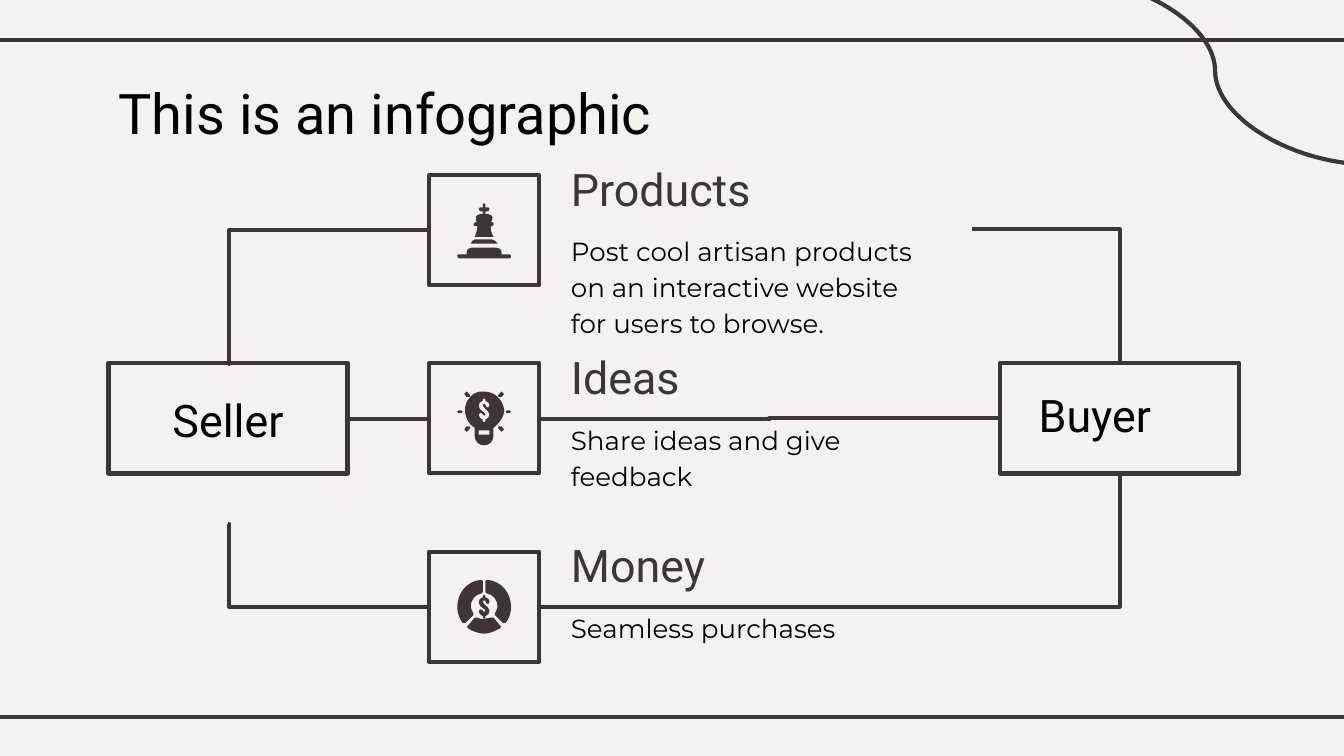
"""Build a slide that shows how products, ideas and money link a seller and a buyer."""
from lxml.etree import SubElement
from pptx import Presentation
from pptx.dml.color import RGBColor
from pptx.enum.shapes import MSO_CONNECTOR as LINK, MSO_SHAPE as SHAPE
from pptx.enum.text import MSO_ANCHOR as ANCHOR, MSO_AUTO_SIZE as AUTO, PP_ALIGN as ALIGN
from pptx.oxml.ns import qn
from pptx.util import Cm, Pt

COLORS = {"paper": "F5F2EE", "ink": "3F3533", "text": "000000"}
RGB = {name: RGBColor.from_string(value) for name, value in COLORS.items()}
GRID = Cm(2.54) / 100


def write(box, text, size=24, font="Roboto", color="text", align=ALIGN.LEFT, spacing=1.0, after=0):
    frame = box.text_frame
    frame.word_wrap = True
    frame.auto_size = AUTO.NONE
    frame.vertical_anchor = ANCHOR.TOP
    frame.margin_left = frame.margin_right = frame.margin_top = frame.margin_bottom = Cm(0.25)
    frame.text = text
    paragraph = frame.paragraphs[0]
    paragraph.alignment = align
    paragraph.line_spacing = spacing
    paragraph.space_before = Pt(0)
    paragraph.space_after = Pt(after)
    paragraph.font.size = Pt(size)
    paragraph.font.name = font
    paragraph.font.color.rgb = RGB[color]


def draw_outline(icon, path, x, y, flip_x=1, flip_y=1):
    builder, knot_counts = None, []
    for contour in path.split("|"):
        segments = [[int(value) for value in segment.split()] for segment in contour.split(",")]
        knot_counts += [len(segment) // 2 for segment in segments[1:]]
        values = sum(segments, [])
        points = [(x + flip_x * px * GRID, y + flip_y * py * GRID)
                  for px, py in zip(values[::2], values[1::2])]
        if builder is None:
            builder = icon.shapes.build_freeform(*points[0])
        else:
            builder.move_to(*points[0])
        builder.add_line_segments(points[1:], close=True)
    outline = builder.convert_to_shape()
    outline.shadow.inherit = False
    outline.fill.solid()
    outline.fill.fore_color.rgb = RGB["ink"]
    outline.line.fill.background()
    route = next(outline._element.iter(qn("a:path")))
    steps = iter(route.findall(qn("a:lnTo")))
    for count in knot_counts:
        knots = [next(steps) for _ in range(count)]
        if count == 3:
            curve = SubElement(route, qn("a:cubicBezTo"))
            knots[0].addprevious(curve)
            for knot in knots:
                curve.append(knot[0])
                route.remove(knot)


deck = Presentation()
deck.slide_width, deck.slide_height = Cm(25.4), Cm(14.29)
slide = deck.slides.add_slide(deck.slide_layouts[5])
shapes = slide.shapes
slide.background.fill.solid()
slide.background.fill.fore_color.rgb = RGB["paper"]

title = shapes.title
title.left, title.top, title.width, title.height = Cm(1.99), Cm(1.24), Cm(21.44), Cm(1.6)
write(title, "This is an infographic", size=30)

links = [
    (LINK.STRAIGHT, "line", -0.2, 0.76, 25.6, 0.76, None),
    (LINK.STRAIGHT, "line", -0.2, 13.55, 25.6, 13.55, None),
    (LINK.CURVE, "curvedConnector3", 20.02, -0.43, 25.91, 3.11, 50000),
    (LINK.CURVE, "curvedConnector3", 6.58, 7.92, 8.1, 7.92, 50000),
    (LINK.ELBOW, "bentConnector3", 4.31, 6.88, 8.1, 4.35, 700),
    (LINK.ELBOW, "bentConnector3", 4.31, 9.91, 8.1, 11.47, 600),
    (LINK.ELBOW, "bentConnector3", 10.19, 7.92, 18.9, 7.9, 50000),
    (LINK.ELBOW, "bentConnector2", 10.19, 11.47, 21.16, 8.95, None),
    (LINK.ELBOW, "bentConnector2", 18.37, 4.33, 21.16, 6.87, None),
]
for kind, preset, x1, y1, x2, y2, bend in links:
    link = shapes.add_connector(kind, Cm(x1), Cm(y1), Cm(x2), Cm(y2))
    link.line.color.rgb = RGB["ink"]
    link.line.width = Pt(2.25)
    properties = link._element.spPr
    SubElement(properties, qn("a:effectLst"))
    geometry = properties.find(qn("a:prstGeom"))
    geometry.set("prst", preset)
    if bend is not None:
        SubElement(geometry.find(qn("a:avLst")), qn("a:gd"), name="adj1", fmla=f"val {bend}")

ICON_LEFT, ICON_TOP, ICON_SIZE, PITCH = 8.11, 3.31, 2.08, 3.56
frames = [(SHAPE.ROUNDED_RECTANGLE, left, ICON_TOP + PITCH, 4.52) for left in (2.05, 18.9)]
frames += [(SHAPE.RECTANGLE, ICON_LEFT, ICON_TOP + row * PITCH, ICON_SIZE) for row in range(3)]
for preset, left, top, width in frames:
    frame = shapes.add_shape(preset, Cm(left), Cm(top), Cm(width), Cm(ICON_SIZE))
    if preset == SHAPE.ROUNDED_RECTANGLE:
        frame.adjustments[0] = 0
    frame.shadow.inherit = False
    frame.fill.background()
    frame.line.color.rgb = RGB["ink"]
    frame.line.width = Pt(2.25)

for party, left, top, align in [("Seller", 2.52, 7.17, ALIGN.CENTER), ("Buyer", 19.38, 7.08, ALIGN.LEFT)]:
    write(shapes.add_textbox(Cm(left), Cm(top), Cm(3.58), Cm(1.6)), party, align=align)

exchanges = [
    ("Products", "Post cool artisan products on an interactive website for users to browse."),
    ("Ideas", "Share ideas and give feedback"),
    ("Money", "Seamless purchases"),
]
for row, (heading, description) in enumerate(exchanges):
    top = 2.8 + row * PITCH
    write(shapes.add_textbox(Cm(10.54), Cm(top), Cm(7.47), Cm(1.32)), heading, color="ink")
    write(shapes.add_textbox(Cm(10.54), Cm(top + 1.32), Cm(7.47), Cm(1.5)), description,
          size=14, font="Montserrat", spacing=1.15, after=12)

chess_base = ("-9 13, -11 13 -13 14 -13 17, -13 18, -19 18, -19 18 -20 19 -20 19, -20 20 -19 21 -19 21,"
              "19 21, 20 21 20 20 20 19, 20 19 19 18 19 18, 13 18, 13 17, 13 14 11 13 9 13")
chess_king = ("0 -20, -1 -20 -1 -19 -1 -18, -1 -17, -3 -17, -3 -17 -4 -16 -4 -16, -4 -15 -3 -14 -3 -14,"
              "-1 -14, -1 -12, -3 -12, -5 -12 -7 -10 -6 -8, -6 -7 -6 -6 -5 -6, -6 -6, -7 -6 -8 -5 -8 -4,"
              "-8 -4 -7 -3 -7 -3, -5 -3, -5 0 -6 2 -7 5, 7 5, 5 2 5 0 5 -3, 6 -3, 7 -3 7 -4 7 -4,"
              "7 -5 7 -6 6 -6, 5 -6, 5 -6 6 -7 6 -8, 7 -10 5 -12 3 -12, 1 -12, 1 -14, 3 -14,"
              "3 -14 4 -15 4 -16, 4 -16 3 -17 3 -17, 1 -17, 1 -18, 1 -19 1 -20 0 -20")
chess_band = "-7 7, -8 7 -10 9 -10 10, 10 10, 9 9 8 7 6 7"
dollar = ("0 -9, -1 -9 -1 -9 -1 -8, -1 -7, -3 -7 -4 -5 -4 -3, -4 -1 -2 0 -1 1, 0 2 1 2 1 3, 1 4 1 4 0 4,"
          "-1 4 -1 4 -1 3, -1 2 -2 2 -3 2, -3 2 -4 2 -4 3, -4 5 -3 6 -1 7, -1 8, -1 8 -1 9 0 9,"
          "1 9 1 8 1 8, 1 7, 3 6 4 5 4 3, 4 1 2 0 1 -1, 0 -2 -1 -3 -1 -4, -1 -4 -1 -5 0 -5,"
          "1 -5 1 -4 1 -4, 1 -3 2 -2 3 -2, 3 -2 4 -3 4 -4, 4 -5 3 -7 1 -7, 1 -8, 1 -9 1 -9 0 -9")
bulb = ("0 -14, -1 -14 -2 -14 -3 -14, -9 -13 -13 -8 -14 -3, -15 4 -12 10 -7 13, -7 19, -7 23 -4 26 0 26,"
        "4 26 7 23 7 19, 7 13, 11 10 15 5 15 0, 14 -8 8 -14 0 -14|4 15, 4 18, -4 18, -4 15|" + dollar)
side_ray = ("-19 -1, -19 -1 -20 -1 -20 0, -20 1 -19 1 -19 1, -17 1, -16 1 -16 1 -16 0,"
            "-16 -1 -16 -1 -17 -1")
corner_ray = ("-12 11, -12 11 -13 11 -13 11, -14 12, -15 13 -15 14 -14 14, -14 14 -14 15 -13 15,"
              "-13 15 -13 14 -12 14, -11 13, -10 12 -10 11 -11 11, -11 11 -12 11 -12 11")
ring_side = ("-3 -20, -3 -20 -3 -20 -3 -20, -13 -19 -20 -10 -20 0, -20 4 -19 8 -16 12,"
             "-16 12 -15 12 -15 12, -15 12 -14 12 -14 12, -8 6, -8 6 -8 5 -8 5, -9 3 -10 1 -10 0,"
             "-10 -5 -7 -9 -2 -10, -2 -10 -1 -10 -1 -11, -1 -19, -1 -20 -2 -20 -3 -20")
ring_bottom = ("5 8, 5 8 5 8 5 8, 3 9 2 9 0 9, -2 9 -4 9 -5 8, -5 8 -5 8 -6 8, -6 8 -6 8 -7 8,"
               "-12 14, -13 14 -13 15 -12 16, -9 18 -4 20 0 20, 4 20 8 18 12 16, 13 15 13 14 12 14,"
               "7 8, 6 8 6 8 5 8")

icon_parts = [(0, part, 0, 1, 1) for part in (chess_base, chess_king, chess_band)]
icon_parts += [(1, bulb, -6, 1, 1), (2, ring_bottom, 0, 1, 1), (2, dollar, 0, 1, 1)]
for side in (1, -1):
    icon_parts += [(1, side_ray, -5, side, 1), (2, ring_side, 0, side, 1)]
    icon_parts += [(1, corner_ray, -5, side, end) for end in (1, -1)]
icons = [shapes.add_group_shape() for _ in exchanges]
for row, part, shift, flip_x, flip_y in icon_parts:
    center_y = Cm(ICON_TOP + row * PITCH + ICON_SIZE / 2) + shift * GRID
    draw_outline(icons[row], part, Cm(ICON_LEFT + ICON_SIZE / 2), center_y, flip_x, flip_y)

deck.save("out.pptx")
